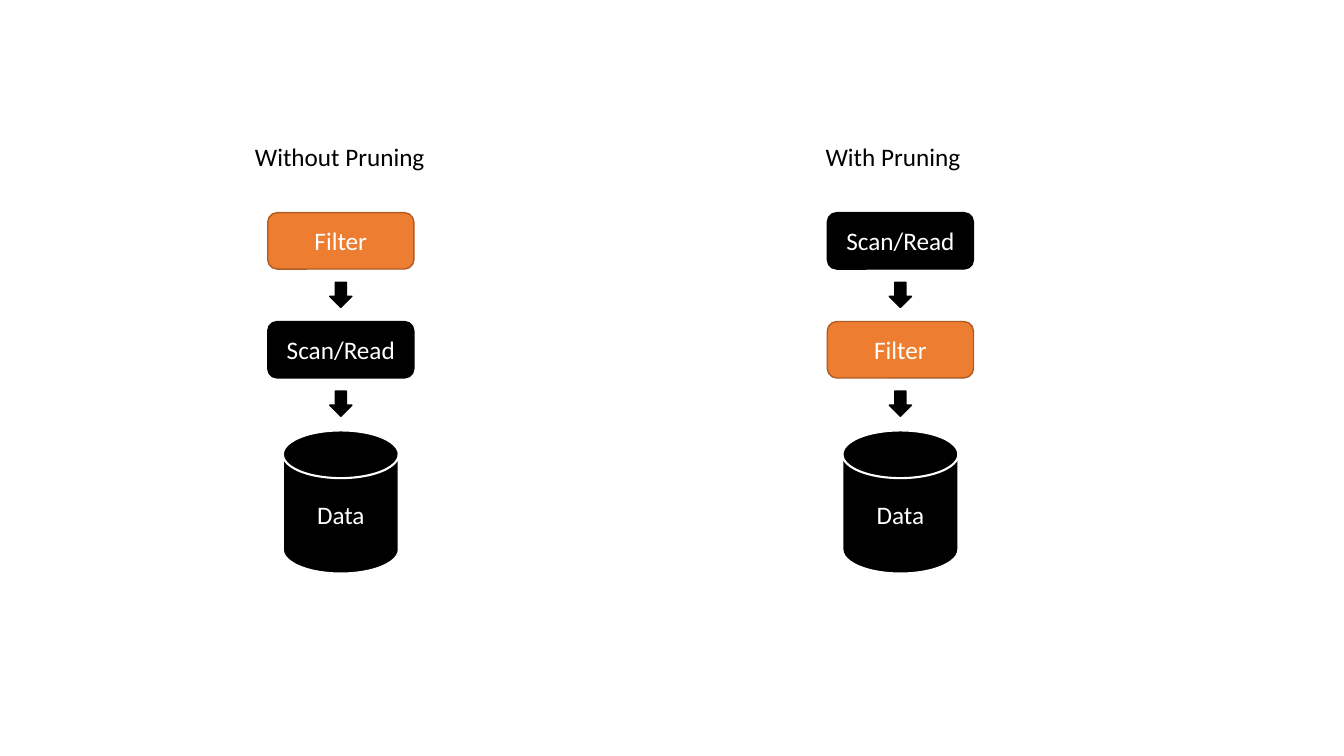
"""Build a slide comparing query plans without and with pruning."""
from pptx import Presentation, util as u
from pptx.dml.color import RGBColor
from pptx.enum import shapes, text

BLACK = RGBColor(0x00, 0x00, 0x00)
WHITE = RGBColor(0xFF, 0xFF, 0xFF)
ORANGE = RGBColor(0xED, 0x7D, 0x31)
RUST = RGBColor(0xAF, 0x5C, 0x24)

PLANS = [
    {"heading": "Without Pruning", "heading_left": 2.43, "center": 3.38,
     "steps": ["Filter", "Scan/Read"]},
    {"heading": "With Pruning", "heading_left": 8.09, "center": 8.93,
     "steps": ["Scan/Read", "Filter"]},
]
STORE = "Data"
STEP_COLORS = {"Filter": (ORANGE, RUST), "Scan/Read": (BLACK, BLACK)}

HEADING_TOP, HEADING_SIZE = 1.35, (1.9, 0.4)
STEP_TOP, STEP_PITCH, STEP_SIZE = 2.11, 1.08, (1.45, 0.56)
ARROW_DROP, ARROW_SIZE = 0.69, (0.22, 0.25)
STORE_SIZE = (1.15, 1.42)


def write(part, words, size=18, color=WHITE, align=text.PP_ALIGN.CENTER,
          anchor=text.MSO_ANCHOR.MIDDLE):
    frame = part.text_frame
    frame.word_wrap = True
    frame.vertical_anchor = anchor
    paragraph = frame.paragraphs[0]
    paragraph.alignment = align
    run = paragraph.add_run()
    run.text = words
    run.font.name = "Calibri"
    run.font.size = u.Pt(size)
    run.font.color.rgb = color


def draw(plan, preset, center, top, size, fill=BLACK, line=BLACK, weight=1):
    width, height = size
    part = plan.shapes.add_shape(
        preset, u.Inches(center - width / 2), u.Inches(top),
        u.Inches(width), u.Inches(height))
    part.shadow.inherit = False
    part.fill.solid()
    part.fill.fore_color.rgb = fill
    part.line.color.rgb = line
    part.line.width = u.Pt(weight)
    return part


deck = Presentation()
deck.slide_width, deck.slide_height = u.Inches(13.33), u.Inches(7.5)
slide = deck.slides.add_slide(deck.slide_layouts[6])

for content in PLANS:
    plan = slide.shapes.add_group_shape()
    center = content["center"]

    store_top = STEP_TOP + STEP_PITCH * len(content["steps"])
    store = draw(plan, shapes.MSO_SHAPE.FLOWCHART_MAGNETIC_DISK, center,
                 store_top, STORE_SIZE, line=WHITE, weight=1.5)
    write(store, STORE)

    for row, label in enumerate(content["steps"]):
        top = STEP_TOP + row * STEP_PITCH
        fill, line = STEP_COLORS[label]
        step = draw(plan, shapes.MSO_SHAPE.ROUNDED_RECTANGLE, center, top,
                    STEP_SIZE, fill, line)
        write(step, label)
        draw(plan, shapes.MSO_SHAPE.DOWN_ARROW, center, top + ARROW_DROP,
             ARROW_SIZE)

    heading = plan.shapes.add_textbox(
        u.Inches(content["heading_left"]), u.Inches(HEADING_TOP),
        *map(u.Inches, HEADING_SIZE))
    write(heading, content["heading"], color=BLACK,
          align=text.PP_ALIGN.LEFT, anchor=text.MSO_ANCHOR.TOP)
    heading.text_frame.auto_size = text.MSO_AUTO_SIZE.SHAPE_TO_FIT_TEXT

deck.save("out.pptx")
